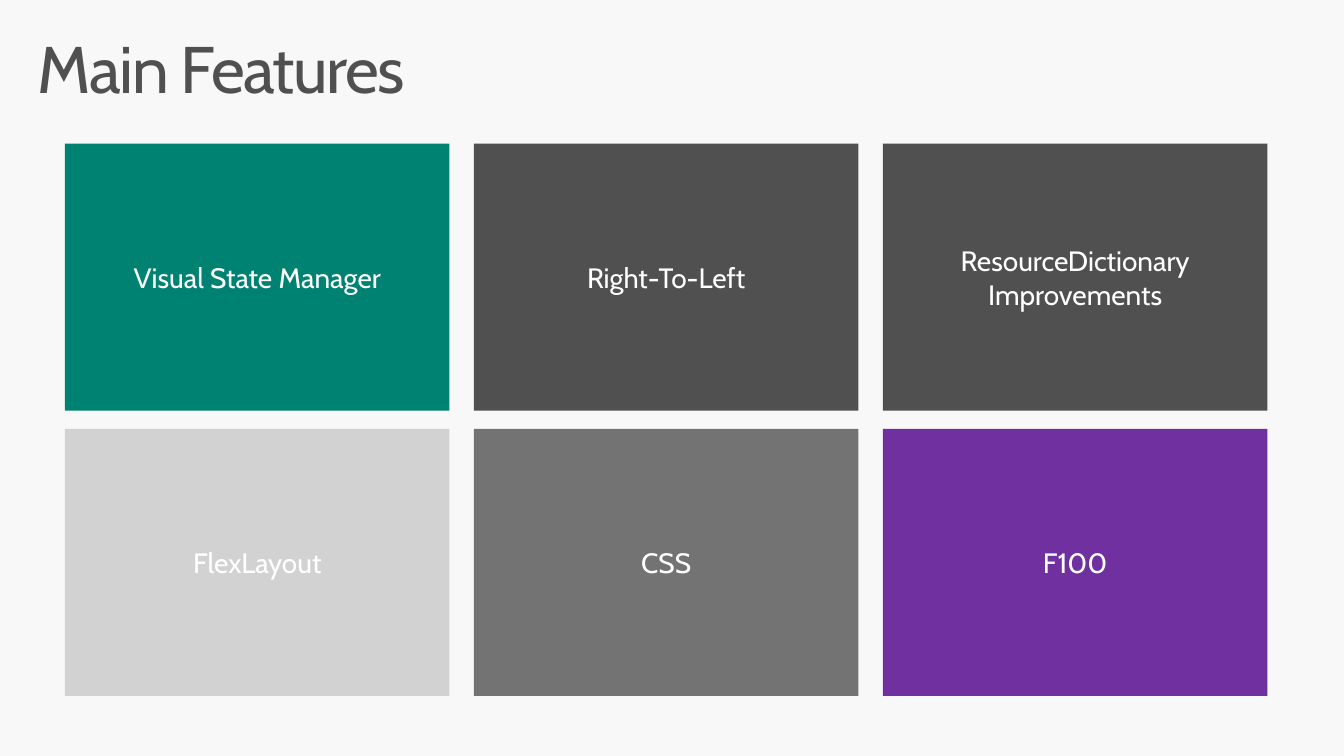
from pptx import Presentation
from pptx.dml.color import RGBColor
from pptx.enum.shapes import MSO_SHAPE
from pptx.enum.text import MSO_ANCHOR, MSO_AUTO_SIZE, PP_ALIGN
from pptx.util import Inches, Pt

FEATURES = [
    [("Visual State Manager", "008272"), ("Right-To-Left", "505050"),
     ("ResourceDictionary Improvements", "505050")],
    [("FlexLayout", "D2D2D2"), ("CSS", "737373"), ("F100", "7030A0")],
]
GRID_LEFT, GRID_TOP = 1.29, 2.85
TILE_WIDTH, TILE_HEIGHT = 7.63, 5.3
COLUMN_GAP, ROW_GAP = 0.485, 0.36


def paint(fill, color):
    fill.solid()
    fill.fore_color.rgb = RGBColor.from_string(color)


def set_margins(frame, horizontal, vertical):
    frame.margin_left = frame.margin_right = Inches(horizontal)
    frame.margin_top = frame.margin_bottom = Inches(vertical)


def style_paragraph(paragraph, size, color, alignment):
    paragraph.alignment = alignment
    paragraph.font.name = "Cabin"
    paragraph.font.size = Pt(size)
    paint(paragraph.font.fill, color)


def set_title(slide, text):
    title = slide.shapes.title
    title.left, title.top = Inches(0.59), Inches(0.63)
    title.width, title.height = Inches(25.49), Inches(1.97)
    frame = title.text_frame
    frame.text = text
    frame.word_wrap = True
    frame.auto_size = MSO_AUTO_SIZE.NONE
    frame.vertical_anchor = MSO_ANCHOR.TOP
    set_margins(frame, 0.16, 0.1)
    heading = frame.paragraphs[0]
    heading.line_spacing = 0.9
    style_paragraph(heading, 94.1, "505050", PP_ALIGN.LEFT)
    heading.runs[0]._r.get_or_add_rPr().set("spc", "-200")


def add_tile(slide, left, top, text, color):
    tile = slide.shapes.add_shape(
        MSO_SHAPE.RECTANGLE, Inches(left), Inches(top),
        Inches(TILE_WIDTH), Inches(TILE_HEIGHT))
    tile.shadow.inherit = False
    paint(tile.fill, color)
    tile.line.fill.background()
    frame = tile.text_frame
    frame.text = text
    frame.word_wrap = True
    frame.vertical_anchor = MSO_ANCHOR.MIDDLE
    set_margins(frame, 0.4, 0.32)
    style_paragraph(frame.paragraphs[0], 40, "FFFFFF", PP_ALIGN.CENTER)


def main():
    deck = Presentation()
    deck.slide_width, deck.slide_height = Inches(26.67), Inches(15)
    slide = deck.slides.add_slide(deck.slide_layouts[5])
    paint(slide.background.fill, "F8F8F8")
    set_title(slide, "Main Features")
    for row, features in enumerate(FEATURES):
        top = GRID_TOP + row * (TILE_HEIGHT + ROW_GAP)
        for column, (feature, color) in enumerate(features):
            left = GRID_LEFT + column * (TILE_WIDTH + COLUMN_GAP)
            add_tile(slide, left, top, feature, color)
    deck.save("out.pptx")


if __name__ == "__main__":
    main()
